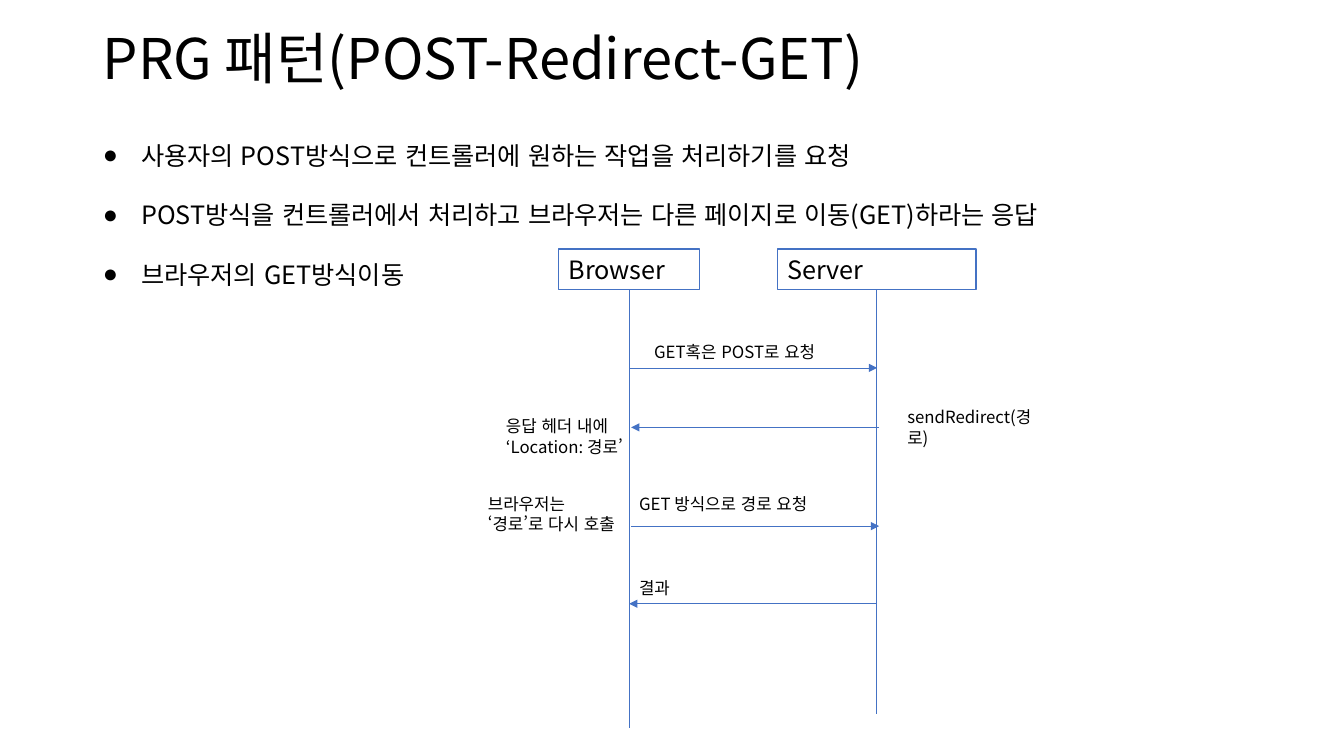
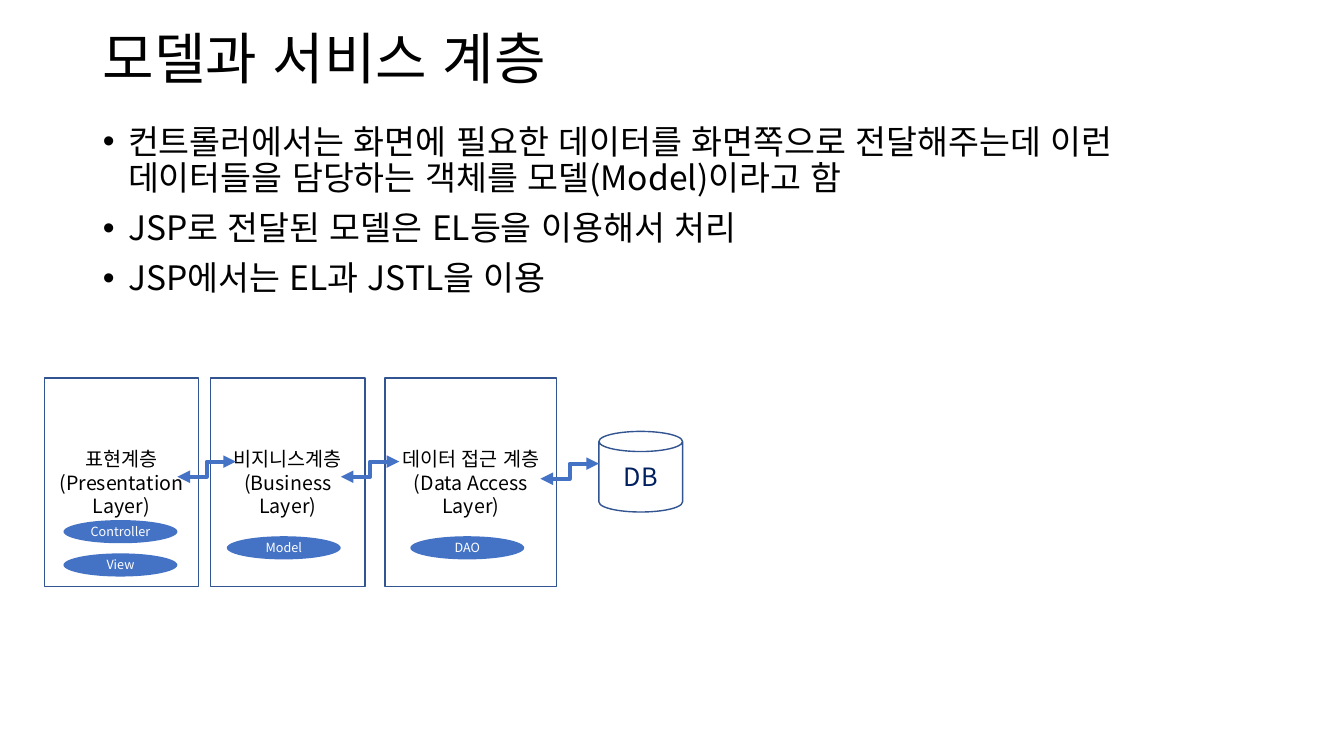
import pptx
import pptx.util
import pptx.dml.color
import pptx.enum.lang
import pptx.enum.shapes
import pptx.enum.text
import pptx.oxml.ns
import lxml.etree

Inches, Pt = pptx.util.Inches, pptx.util.Pt
RGBColor = pptx.dml.color.RGBColor
Shape = pptx.enum.shapes.MSO_SHAPE
Link = pptx.enum.shapes.MSO_CONNECTOR
Anchor = pptx.enum.text.MSO_ANCHOR
Align = pptx.enum.text.PP_ALIGN
qn = pptx.oxml.ns.qn

FONT = "Noto Sans CJK KR"
KOREAN = pptx.enum.lang.MSO_LANGUAGE_ID.KOREAN
BLACK = RGBColor(0x00, 0x00, 0x00)
WHITE = RGBColor(0xFF, 0xFF, 0xFF)
BLUE = RGBColor(0x44, 0x72, 0xC4)
EDGE = RGBColor(0x32, 0x54, 0x91)
NAVY = RGBColor(0x00, 0x20, 0x60)

PATTERN = {
    "title": "PRG 패턴(POST-Redirect-GET)",
    "list": [
        "사용자의 POST방식으로 컨트롤러에 원하는 작업을 처리하기를 요청",
        "POST방식을 컨트롤러에서 처리하고 브라우저는 다른 페이지로 이동(GET)하라는 응답",
        "브라우저의 GET방식이동",
    ],
    "size": 18, "space": 1.5, "indent": 0.38, "bullet": "●",
}
MODEL = {
    "title": "모델과 서비스 계층",
    "list": [
        "컨트롤러에서는 화면에 필요한 데이터를 화면쪽으로 전달해주는데 이런 데이터들을 담당하는 객체를 모델(Model)이라고 함",
        "JSP로 전달된 모델은 EL등을 이용해서 처리",
        "JSP에서는 EL과 JSTL을 이용",
    ],
    "size": 24, "space": 0.9, "indent": 0.25, "bullet": "•",
}

ACTORS = [("Browser", 5.54, 1.4, 7.22), ("Server", 7.71, 1.97, 7.08)]
CALLS = [(6.24, 8.7, 3.65), (8.72, 6.26, 4.24), (6.26, 8.72, 5.22), (8.7, 6.24, 5.99)]
NOTES = [
    ("GET혹은 POST로 요청", 6.39, 3.34, 1.86, 0.3),
    ("sendRedirect(경로)", 8.9, 3.99, 1.62, 0.3),
    ("응답 헤더 내에\n‘Location: 경로’", 4.92, 4.08, 1.92, 0.5),
    ("브라우저는\n‘경로’로 다시 호출", 4.74, 4.85, 1.92, 0.5),
    ("GET 방식으로 경로 요청", 6.24, 4.85, 2.02, 0.3),
    ("결과", 6.24, 5.68, 0.54, 0.3),
]

LAYERS = [
    ("표현계층 (Presentation Layer)", 0.44, 1.53),
    ("비지니스계층 (Business Layer)", 2.09, 1.53),
    ("데이터 접근 계층\n(Data Access Layer)", 3.82, 1.7),
]
PARTS = [("Controller", 0.63, 5.16), ("View", 0.63, 5.49), ("Model", 2.25, 5.32), ("DAO", 4.07, 5.32)]
STEPS = [(1.76, 4.73), (3.38, 4.73), (5.36, 4.75)]
STEP_W, STEP_H = 0.58, 0.15


def write(frame, text, size, color=BLACK, align=Align.LEFT, anchor=Anchor.TOP):
    frame.text = text
    frame.word_wrap = True
    frame.auto_size = pptx.enum.text.MSO_AUTO_SIZE.NONE
    frame.vertical_anchor = anchor
    for par in frame.paragraphs:
        par.alignment = align
        for run in par.runs:
            run.font.size = Pt(size)
            run.font.color.rgb = color
            run.font.name = FONT
            run.font.language_id = KOREAN
            lxml.etree.SubElement(run.font._element, qn("a:ea"), typeface=FONT)


def add_box(slide, kind, area, text, size, fill=None, edge=None, **style):
    box = slide.shapes.add_shape(kind, *map(Inches, area))
    box.shadow.inherit = False
    if fill is None:
        box.fill.background()
    else:
        box.fill.solid()
        box.fill.fore_color.rgb = fill
    if edge is None:
        box.line.fill.background()
    else:
        box.line.color.rgb = edge
        box.line.width = Pt(1)
    write(box.text_frame, text, size, **style)
    return box


def add_line(slide, start, end, width, kind=Link.STRAIGHT, tips=()):
    line = slide.shapes.add_connector(kind, *map(Inches, (*start, *end)))
    line.line.color.rgb = BLUE
    line.line.width = Pt(width)
    for tip in tips:
        lxml.etree.SubElement(line.line._get_or_add_ln(), qn(tip), type="triangle")
    lxml.etree.SubElement(line._element.spPr, qn("a:effectLst"))
    return line


def set_layout(layout):
    for holder, top, height in zip(layout.placeholders, (0.15, 1.19), (0.92, 5.56)):
        holder.left, holder.top = Inches(0.92), Inches(top)
        holder.width, holder.height = Inches(11.5), Inches(height)


def add_slide(deck, page):
    slide = deck.slides.add_slide(deck.slide_layouts[1])
    title, body = slide.placeholders
    write(title.text_frame, page["title"], 40, anchor=Anchor.MIDDLE)
    title.text_frame.paragraphs[0].line_spacing = 0.9
    write(body.text_frame, "\n".join(page["list"]), page["size"])
    for par in body.text_frame.paragraphs:
        par.line_spacing = page["space"]
        par.space_before = Pt(10)
        props = par._p.get_or_add_pPr()
        props.set("marL", str(Inches(page["indent"])))
        props.set("indent", str(-Inches(page["indent"])))
        lxml.etree.SubElement(props, qn("a:buFont"), typeface="Arial")
        lxml.etree.SubElement(props, qn("a:buChar"), char=page["bullet"])
    return slide


def draw_pattern(deck):
    slide = add_slide(deck, PATTERN)
    top, height = 2.47, 0.4
    for name, left, width, end in ACTORS:
        box = add_box(slide, Shape.RECTANGLE, (left, top, width, height), name, 18, WHITE, BLUE)
        mid = left + width / 2
        line = add_line(slide, (mid, top + height), (mid, end), 0.5)
        line.begin_connect(box, 2)
    for start, end, y in CALLS:
        add_line(slide, (start, y), (end, y), 0.5, tips=["a:tailEnd"])
    for text, *area in NOTES:
        note = slide.shapes.add_textbox(*map(Inches, area))
        write(note.text_frame, text, 12)


def draw_model(deck):
    slide = add_slide(deck, MODEL)
    mid = {"align": Align.CENTER, "anchor": Anchor.MIDDLE}
    for text, left, width in LAYERS:
        add_box(slide, Shape.RECTANGLE, (left, 3.75, width, 2.07), text, 14, edge=EDGE, **mid)
    add_box(slide, Shape.CAN, (5.94, 4.28, 0.83, 0.8), "DB", 18, WHITE, EDGE, color=NAVY, **mid)
    for x, y in STEPS:
        add_line(slide, (x, y), (x + STEP_W, y - STEP_H), 3, Link.ELBOW, ["a:headEnd", "a:tailEnd"])
    for text, left, top in PARTS:
        add_box(slide, Shape.OVAL, (left, top, 1.13, 0.23), text, 9, BLUE, color=WHITE, **mid)


def main():
    deck = pptx.Presentation()
    deck.slide_width, deck.slide_height = Inches(13.33), Inches(7.5)
    set_layout(deck.slide_layouts[1])
    draw_pattern(deck)
    draw_model(deck)
    deck.save("out.pptx")


if __name__ == "__main__":
    main()
